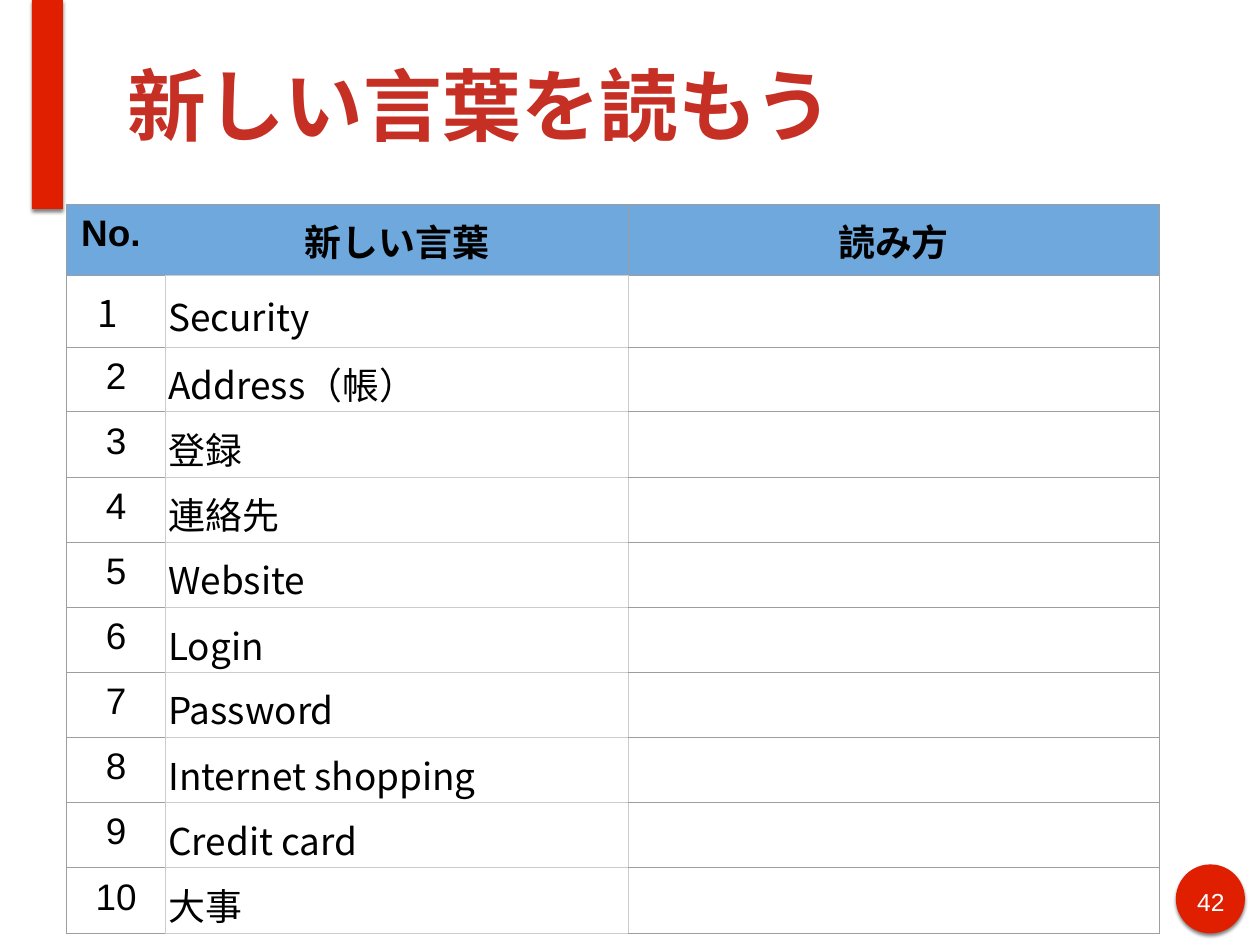
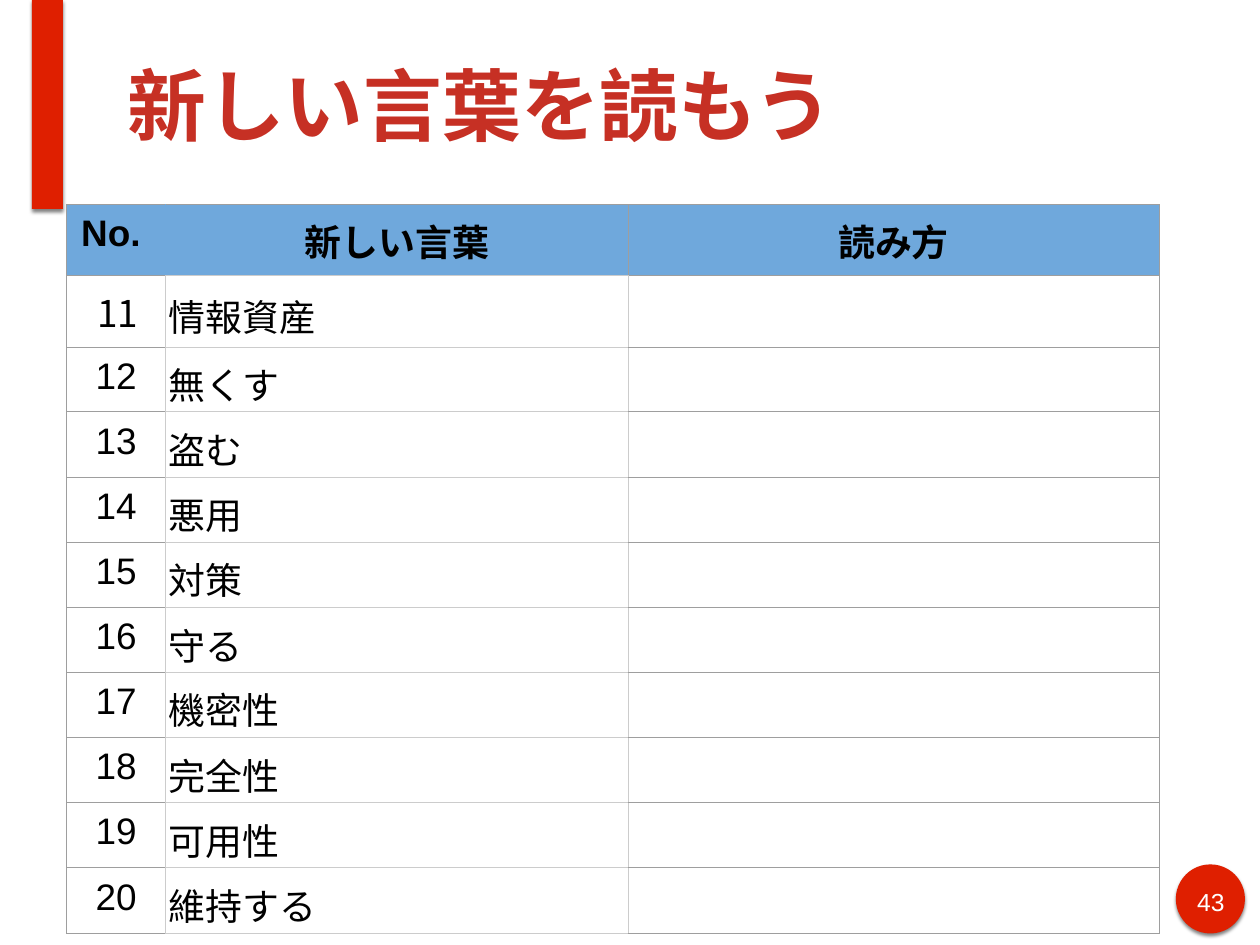
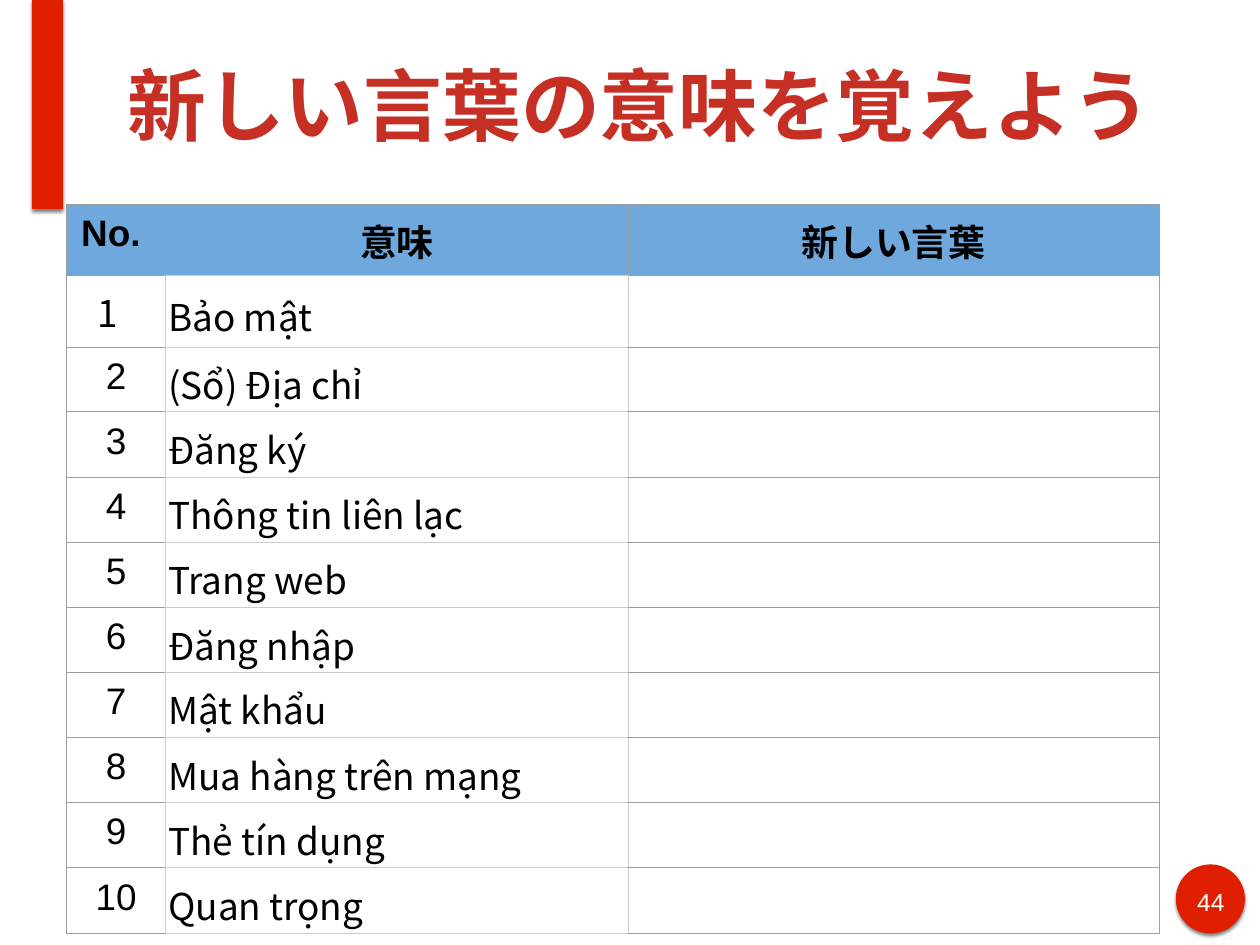
from dataclasses import dataclass
from typing import Any, NamedTuple

from lxml import etree
from pptx import Presentation
from pptx.dml.color import RGBColor
from pptx.enum.shapes import MSO_SHAPE
from pptx.enum.text import MSO_ANCHOR, PP_ALIGN
from pptx.oxml.ns import qn
from pptx.slide import Slide
from pptx.table import _Cell
from pptx.util import Emu, Pt

ELLIPSE, RECTANGLE = MSO_SHAPE.OVAL, MSO_SHAPE.RECTANGLE
LEFT, CENTER = PP_ALIGN.LEFT, PP_ALIGN.CENTER
TOP, MIDDLE = MSO_ANCHOR.TOP, MSO_ANCHOR.MIDDLE
EMU_PER_PX = 9144
PLAIN_TABLE_STYLE = "{2D5ABB26-0587-4C30-8999-92F81FD0307C}"


@dataclass(frozen=True)
class Theme:
    accent: str = "DF1F00"
    title: str = "C63024"
    text: str = "000000"
    white: str = "FFFFFF"
    header: str = "6FA8DC"
    dark_line: str = "9E9E9E"
    light_line: str = "CCCCCC"
    latin_font: str = "Arial"
    japanese_font: str = "Noto Sans CJK JP"
    title_size: int = 64
    table_size: int = 30
    number_size: int = 20
    line_width: float = 0.75


THEME = Theme()


class Box(NamedTuple):
    left: int
    top: int
    width: int
    height: int


class TextStyle(NamedTuple):
    size: int
    color: str
    font: str
    bold: bool = False
    alignment: Any = LEFT
    line_spacing: float | None = None
    anchor: Any = TOP
    margin_x: int = 10
    margin_y: int = 10


class Borders(NamedTuple):
    left: str
    right: str
    top: str
    bottom: str


class CellStyle(NamedTuple):
    text: TextStyle
    borders: Borders
    fill: str | None = None


@dataclass(frozen=True)
class WordSlide:
    page: int
    title: str
    headings: tuple[str, str]
    first_number: int
    words: tuple[str, ...]


SLIDE_SIZE = (1422, 1067)
DECORATIONS = (
    (ELLIPSE, Box(1327, 976, 78, 78)),
    (RECTANGLE, Box(36, 0, 35, 236)),
)
PAGE_BOX = Box(1342, 995, 49, 39)
TITLE_BOX = Box(138, 11, 1214, 212)
TABLE_BOX = Box(75, 231, 1233, 823)
COLUMN_WIDTHS = (112, 522, 599)
LEADING_ROW_HEIGHTS = (80, 81)
NUMBER_INDENT = {"marL": 50, "indent": -25}

PAGE_TEXT = TextStyle(THEME.number_size, THEME.white, THEME.latin_font,
                      alignment=CENTER, margin_x=6, margin_y=6)
TITLE_TEXT = TextStyle(THEME.title_size, THEME.title, THEME.latin_font,
                       bold=True, anchor=MIDDLE, margin_x=6, margin_y=6)
HEADER_TEXT = TextStyle(THEME.table_size, THEME.text, THEME.latin_font,
                        bold=True, alignment=CENTER)
NUMBER_TEXT = HEADER_TEXT._replace(bold=False)
FIRST_NUMBER_TEXT = NUMBER_TEXT._replace(font=THEME.japanese_font, alignment=LEFT)
WORD_TEXT = FIRST_NUMBER_TEXT._replace(line_spacing=1.15, anchor=MIDDLE,
                                       margin_x=3, margin_y=2)

DARK_BORDERS = Borders(*[THEME.dark_line] * 4)
LIGHT_BORDERS = Borders(*[THEME.light_line] * 4)
HEADER_CELL = CellStyle(HEADER_TEXT, DARK_BORDERS, THEME.header)
NUMBER_HEADER_CELL = HEADER_CELL._replace(
    borders=DARK_BORDERS._replace(right=THEME.header))
WORD_HEADER_CELL = HEADER_CELL._replace(
    borders=DARK_BORDERS._replace(left=THEME.header, bottom=THEME.light_line))
NUMBER_CELL = CellStyle(NUMBER_TEXT, DARK_BORDERS._replace(right=THEME.light_line))
FIRST_NUMBER_CELL = NUMBER_CELL._replace(text=FIRST_NUMBER_TEXT)
WORD_CELL = CellStyle(WORD_TEXT, LIGHT_BORDERS, THEME.white)
ANSWER_CELL = CellStyle(WORD_TEXT, DARK_BORDERS._replace(left=THEME.light_line))

WORD_SLIDES = (
    WordSlide(42, "新しい言葉を読もう", ("新しい言葉", "読み方"), 1,
              ("Security", "Address（帳）", "登録", "連絡先", "Website", "Login",
               "Password", "Internet shopping", "Credit card", "大事")),
    WordSlide(43, "新しい言葉を読もう", ("新しい言葉", "読み方"), 11,
              ("情報資産", "無くす", "盗む", "悪用", "対策", "守る",
               "機密性", "完全性", "可用性", "維持する")),
    WordSlide(44, "新しい言葉の意味を覚えよう", ("意味", "新しい言葉"), 1,
              ("Bảo mật", "(Sổ) Địa chỉ", "Đăng ký", "Thông tin liên lạc",
               "Trang web", "Đăng nhập", "Mật khẩu", "Mua hàng trên mạng",
               "Thẻ tín dụng", "Quan trọng")),
)


def px(length: int) -> Emu:
    return Emu(length * EMU_PER_PX)


def place(box: Box) -> list[Emu]:
    return [px(length) for length in box]


def split_evenly(total: int, count: int) -> list[int]:
    edges = [total * index // count for index in range(count + 1)]
    return [end - start for start, end in zip(edges, edges[1:])]


def apply_format(target: Any, values: dict[str, Any]) -> None:
    for name, value in values.items():
        setattr(target, name, value)


def add_element(parent: Any, tag: str, **attributes: str) -> Any:
    return etree.SubElement(parent, qn(tag), attributes)


def write_text(holder: Any, paragraph: Any, text: str, style: TextStyle) -> None:
    apply_format(holder, {
        "vertical_anchor": style.anchor,
        "margin_left": px(style.margin_x),
        "margin_right": px(style.margin_x),
        "margin_top": px(style.margin_y),
        "margin_bottom": px(style.margin_y),
    })
    if not text:
        return
    apply_format(paragraph, {
        "alignment": style.alignment,
        "line_spacing": style.line_spacing,
    })
    run = paragraph.add_run()
    run.text = text
    run.font.color.rgb = RGBColor.from_string(style.color)
    apply_format(run.font, {
        "size": Pt(style.size),
        "bold": style.bold,
        "name": style.font,
    })
    add_element(run._r.get_or_add_rPr(), "a:ea", typeface=THEME.japanese_font)


def add_text(slide: Slide, box: Box, text: str, style: TextStyle) -> None:
    text_frame = slide.shapes.add_textbox(*place(box)).text_frame
    text_frame.word_wrap = True
    write_text(text_frame, text_frame.paragraphs[0], text, style)


def add_decoration(slide: Slide, kind: Any, box: Box) -> None:
    shape = slide.shapes.add_shape(kind, *place(box))
    shape.fill.solid()
    shape.fill.fore_color.rgb = RGBColor.from_string(THEME.accent)
    shape.line.fill.background()
    shape.shadow.inherit = False
    effects = shape._element.spPr.find(qn("a:effectLst"))
    shadow = add_element(effects, "a:outerShdw", blurRad=str(Pt(3)), dist=str(Pt(2)),
                         dir="5400000", rotWithShape="0")
    color = add_element(shadow, "a:srgbClr", val=THEME.text)
    add_element(color, "a:alpha", val="49000")


def draw_borders(cell: _Cell, borders: Borders) -> None:
    properties = cell._tc.get_or_add_tcPr()
    for tag, color in zip(("a:lnL", "a:lnR", "a:lnT", "a:lnB"), borders):
        line = add_element(properties, tag, w=str(Pt(THEME.line_width)))
        fill = add_element(line, "a:solidFill")
        add_element(fill, "a:srgbClr", val=color)


def fill_cell(cell: _Cell, text: str, style: CellStyle) -> None:
    write_text(cell, cell.text_frame.paragraphs[0], text, style.text)
    draw_borders(cell, style.borders)
    if style.fill is None:
        cell.fill.background()
    else:
        cell.fill.solid()
        cell.fill.fore_color.rgb = RGBColor.from_string(style.fill)


def add_word_table(slide: Slide, content: WordSlide) -> None:
    row_count = len(content.words) + 1
    table = slide.shapes.add_table(row_count, len(COLUMN_WIDTHS),
                                   *place(TABLE_BOX)).table
    apply_format(table, {"first_row": False, "horz_banding": False})
    table._tbl.tblPr.find(qn("a:tableStyleId")).text = PLAIN_TABLE_STYLE
    for column, width in zip(table.columns, COLUMN_WIDTHS):
        column.width = px(width)
    other_heights = split_evenly(TABLE_BOX.height - sum(LEADING_ROW_HEIGHTS),
                                 row_count - len(LEADING_ROW_HEIGHTS))
    for row, height in zip(table.rows, (*LEADING_ROW_HEIGHTS, *other_heights)):
        row.height = px(height)

    header_styles = (NUMBER_HEADER_CELL, WORD_HEADER_CELL, HEADER_CELL)
    for column, text in enumerate(("No. ", *content.headings)):
        fill_cell(table.cell(0, column), text, header_styles[column])
    for row, word in enumerate(content.words, start=1):
        number = str(content.first_number + row - 1)
        number_style = FIRST_NUMBER_CELL if row == 1 else NUMBER_CELL
        fill_cell(table.cell(row, 0), number, number_style)
        fill_cell(table.cell(row, 1), word, WORD_CELL)
        fill_cell(table.cell(row, 2), "", ANSWER_CELL)
    properties = table.cell(1, 0).text_frame.paragraphs[0]._p.get_or_add_pPr()
    for name, length in NUMBER_INDENT.items():
        properties.set(name, str(px(length)))


def main() -> None:
    presentation = Presentation()
    presentation.slide_width, presentation.slide_height = map(px, SLIDE_SIZE)
    for content in WORD_SLIDES:
        slide = presentation.slides.add_slide(presentation.slide_layouts[6])
        for kind, box in DECORATIONS:
            add_decoration(slide, kind, box)
        add_text(slide, PAGE_BOX, str(content.page), PAGE_TEXT)
        add_text(slide, TITLE_BOX, content.title, TITLE_TEXT)
        add_word_table(slide, content)
    presentation.save("out.pptx")


if __name__ == "__main__":
    main()
